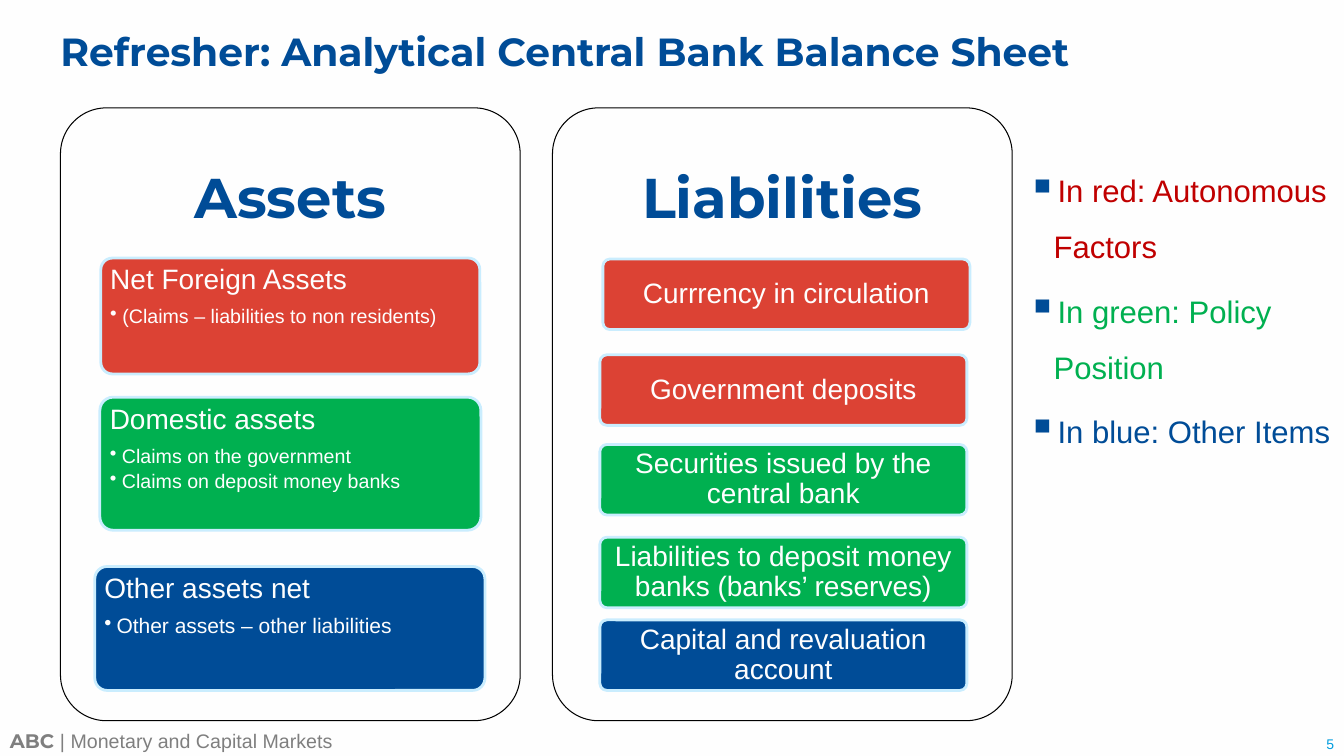
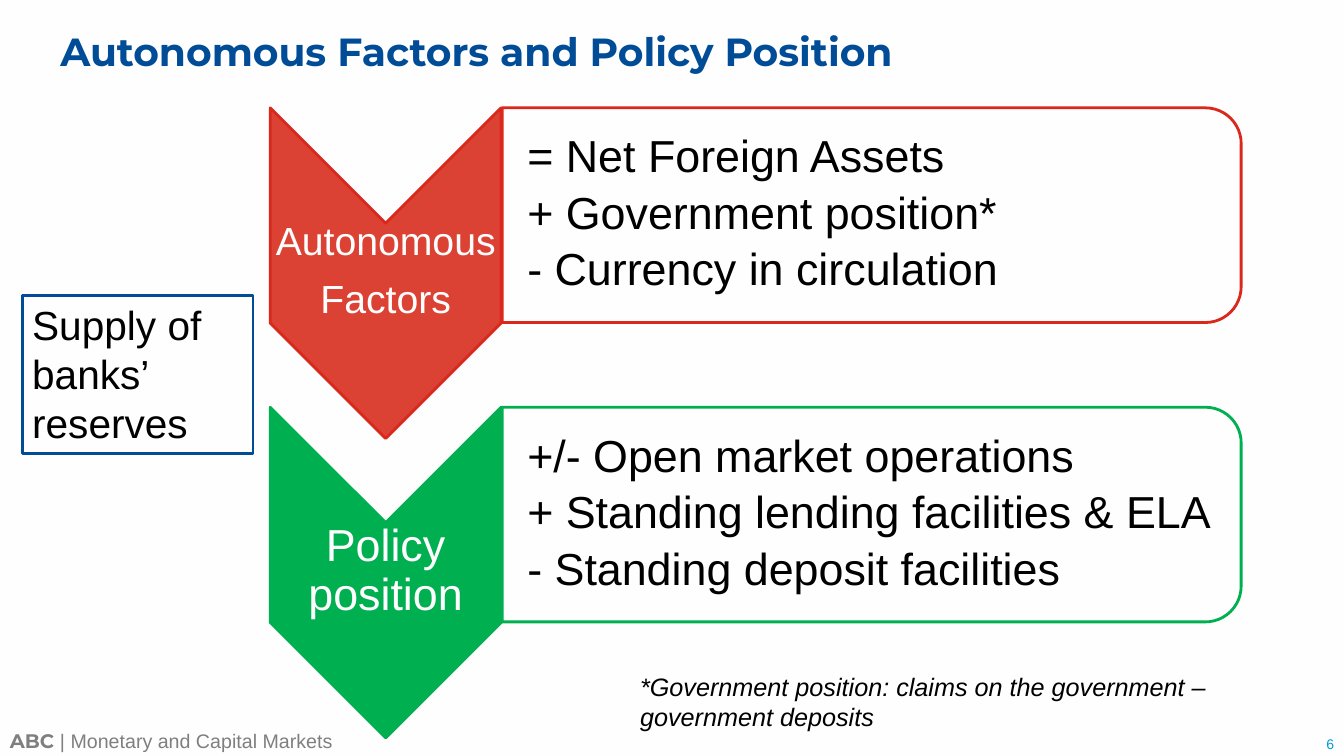
from lxml import etree
from pptx import Presentation
from pptx.dml.color import RGBColor
from pptx.enum.shapes import MSO_SHAPE
from pptx.enum.text import MSO_ANCHOR, PP_ALIGN
from pptx.oxml.ns import qn
from pptx.util import Inches, Pt

ROUNDED = MSO_SHAPE.ROUNDED_RECTANGLE
TOP_ROUNDED = MSO_SHAPE.ROUND_2_SAME_RECTANGLE
CHEVRON = MSO_SHAPE.CHEVRON
RECTANGLE = MSO_SHAPE.RECTANGLE
TOP, MIDDLE, BOTTOM = MSO_ANCHOR.TOP, MSO_ANCHOR.MIDDLE, MSO_ANCHOR.BOTTOM
LEFT, CENTER, RIGHT = PP_ALIGN.LEFT, PP_ALIGN.CENTER, PP_ALIGN.RIGHT

WHITE, BLACK, GREY = "FEFEFE", "000000", "7F7F7F"
BLUE, RED, GREEN = "004C97", "DC4234", "00B050"
DARK_RED, TEXT_RED = "DA281C", "C00000"
PALE_BLUE, CYAN = "CAEDFE", "009CDE"
BODY_FONT, TITLE_FONT = "Arial", "Montserrat"
CARD_INSETS = (0.06, 0.04, 0.06, 0.04)
SLIM_INSETS = (0.02, 0.02, 0.02, 0.02)
# Space after a paragraph, as a share of its type size
WIDE_GAP, NARROW_GAP = 0.4, 0.18

rgb = RGBColor.from_string


def add_box(slide, box, kind=None, fill=None, line=None, width=2,
            insets=(0.1, 0.05, 0.1, 0.05), anchor=TOP):
    """Add a preset shape, or a text box when no kind is given."""
    lengths = [Inches(value) for value in box]
    if kind is None:
        shape = slide.shapes.add_textbox(*lengths)
    else:
        shape = slide.shapes.add_shape(kind, *lengths)
        shape.shadow.inherit = False
        if fill:
            shape.fill.solid()
            shape.fill.fore_color.rgb = rgb(fill)
        else:
            shape.fill.background()
        shape.line.color.rgb = rgb(line)
        shape.line.width = Pt(width)
        if kind == ROUNDED:
            shape.adjustments[0] = 0.1
    frame = shape.text_frame
    frame.word_wrap = True
    frame.vertical_anchor = anchor
    (frame.margin_left, frame.margin_top,
     frame.margin_right, frame.margin_bottom) = [Inches(value) for value in insets]
    return shape


def write(shape, text, size, color, font=BODY_FONT, bold=False, italic=False,
          align=LEFT, spacing=0.9, after=0, bullet=None, indent=0.12):
    """Add a paragraph, filling the empty first one when there is one."""
    frame = shape.text_frame
    paragraph = frame.add_paragraph() if frame.text else frame.paragraphs[0]
    paragraph.text = text
    paragraph.alignment = align
    paragraph.line_spacing = spacing
    paragraph.space_after = Pt(round(size * after, 1))
    run_font = paragraph.runs[0].font
    run_font.name, run_font.size = font, Pt(size)
    run_font.bold, run_font.italic = bold, italic
    run_font.color.rgb = rgb(color)
    if bullet:
        properties = paragraph._p.get_or_add_pPr()
        properties.set("marL", str(Inches(indent)))
        properties.set("indent", str(-Inches(indent)))
        etree.SubElement(properties, qn("a:buChar")).set("char", bullet)
    return paragraph


presentation = Presentation()
presentation.slide_width = Inches(13.33)
presentation.slide_height = Inches(7.5)

# Background, footer, number and title of both slides
slides = []
for number, title in [(5, "Refresher: Analytical Central Bank Balance Sheet"),
                      (6, "Autonomous Factors and Policy Position")]:
    slide = presentation.slides.add_slide(presentation.slide_layouts[6])
    slide.background.fill.solid()
    slide.background.fill.fore_color.rgb = rgb(WHITE)

    footer = add_box(slide, (0, 7.18, 10, 0.34))
    paragraph = write(footer, "ABC ", 14, GREY, TITLE_FONT, bold=True, spacing=1)
    run = paragraph.add_run()
    run.text = "| Monetary and Capital Markets"
    run.font.name, run.font.size = BODY_FONT, Pt(14)
    run.font.color.rgb = rgb(GREY)

    number_box = add_box(slide, (12.01, 7.24, 1.32, 0.27), anchor=BOTTOM)
    write(number_box, str(number), 10, CYAN, align=RIGHT, spacing=1)
    title_box = add_box(slide, (0.6, 0, 11.04, 1.07), insets=(0, 0, 0, 0), anchor=MIDDLE)
    write(title_box, title, 28, BLUE, TITLE_FONT, bold=True)
    slides.append(slide)

balance_slide, factors_slide = slides

# Balance sheet: the two panels
for left, heading in [(0.6, "Assets"), (5.48, "Liabilities")]:
    add_box(balance_slide, (left, 1.07, 4.56, 6.08), ROUNDED, WHITE, BLACK, 0.75)
    heading_box = add_box(balance_slide, (left, 1.07, 4.56, 1.83),
                          insets=(0.17, 0.17, 0.17, 0.17), anchor=MIDDLE)
    write(heading_box, heading, 40, BLUE, TITLE_FONT, bold=True, align=CENTER)

# Balance sheet: asset cards
assets = [
    ((1, 2.56, 3.76, 1.15), RED, "Net Foreign Assets", 14,
     ["(Claims – liabilities to non residents)"]),
    ((0.99, 3.94, 3.78, 1.32), GREEN, "Domestic assets", 14,
     ["Claims on the government", "Claims on deposit money banks"]),
    ((0.94, 5.62, 3.87, 1.23), BLUE, "Other assets net", 15,
     ["Other assets – other liabilities"]),
]
for box, color, heading, size, items in assets:
    card = add_box(balance_slide, box, ROUNDED, color, PALE_BLUE, insets=CARD_INSETS)
    write(card, heading, 20, WHITE, after=WIDE_GAP)
    for item in items:
        write(card, item, size, WHITE, after=NARROW_GAP, bullet="•")

# Balance sheet: liability cards
liabilities = [
    (5.98, 2.57, RED, "Currrency in circulation"),
    (5.95, 3.52, RED, "Government deposits"),
    (5.95, 4.41, GREEN, "Securities issued by the central bank"),
    (5.95, 5.33, GREEN, "Liabilities to deposit money banks (banks’ reserves)"),
    (5.95, 6.15, BLUE, "Capital and revaluation account"),
]
for left, top, color, text in liabilities:
    card = add_box(balance_slide, (left, top, 3.64, 0.7), ROUNDED, color, PALE_BLUE,
                   insets=CARD_INSETS, anchor=MIDDLE)
    write(card, text, 20, WHITE, align=CENTER)

# Balance sheet: colour key
key = add_box(balance_slide, (10.19, 1.37, 3.04, 5.93), insets=(0, 0.15, 0, 0))
for text, color in [("In red: Autonomous Factors", TEXT_RED),
                    ("In green: Policy Position", GREEN),
                    ("In blue: Other Items", BLUE)]:
    paragraph = write(key, text, 22.2, color, spacing=1.5, bullet="▪", indent=0.26)
    paragraph.space_before = Pt(6)
    bullet_mark = paragraph._p.pPr.find(qn("a:buChar"))
    bullet_color = etree.Element(qn("a:buClr"))
    etree.SubElement(bullet_color, qn("a:srgbClr")).set("val", BLUE)
    bullet_size = etree.Element(qn("a:buSzPct"))
    bullet_size.set("val", "130000")
    bullet_mark.addprevious(bullet_color)
    bullet_mark.addprevious(bullet_size)

# Factors: a chevron and its panel in each row
rows = [
    (1.07, RED, DARK_RED, ["Autonomous", "Factors"], 28,
     ["= Net Foreign Assets", "+ Government position*", "- Currency in circulation"]),
    (4.04, GREEN, GREEN, ["Policy position"], 32,
     ["+/- Open market operations", "+ Standing lending facilities & ELA",
      "- Standing deposit facilities"]),
]
for top, fill, outline, labels, label_size, items in rows:
    for kind, left, width, height, color in [(CHEVRON, 2.68, 2.29, 3.28, fill),
                                             (TOP_ROUNDED, 4.98, 7.33, 2.13, WHITE)]:
        # A quarter turn swaps width and height about the centre
        shift = (width - height) / 2
        shape = add_box(factors_slide, (left + shift, top - shift, height, width),
                        kind, color, outline)
        shape.rotation = 90

    label_box = add_box(factors_slide, (2.68, top + 1.14, 2.29, 0.98),
                        insets=SLIM_INSETS, anchor=MIDDLE)
    for label in labels:
        write(label_box, label, label_size, WHITE, align=CENTER, after=WIDE_GAP)
    item_box = add_box(factors_slide, (4.98, top + 0.1, 7.23, 1.92),
                       insets=(0.25, 0.02, 0.02, 0.02), anchor=MIDDLE)
    for item in items:
        write(item_box, item, 32, BLACK, after=NARROW_GAP)

# Factors: supply box and footnote
supply = add_box(factors_slide, (0.22, 2.93, 2.29, 1.57), RECTANGLE, line=BLUE)
write(supply, "Supply of banks’ reserves", 29, BLACK, spacing=1)
footnote = add_box(factors_slide, (6.25, 6.61, 6.84, 0.71))
write(footnote, "*Government position: claims on the government – government deposits",
      18, BLACK, italic=True, spacing=1)

presentation.save("out.pptx")
